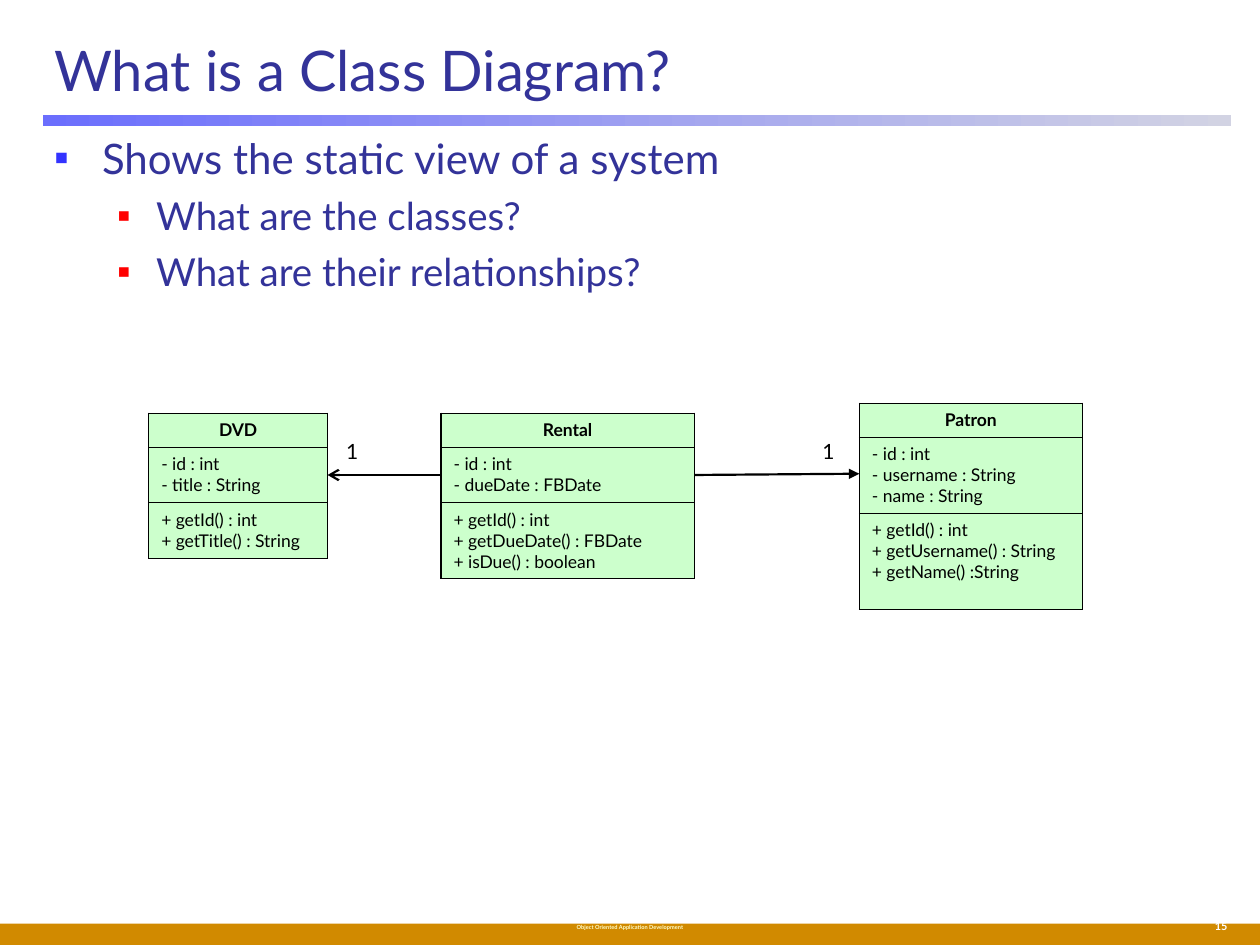
"""Build a slide that introduces the class diagram with a DVD rental example."""
from lxml.etree import SubElement
from pptx import Presentation
from pptx.dml.color import RGBColor
from pptx.enum.shapes import MSO_CONNECTOR, MSO_SHAPE
from pptx.enum.text import MSO_ANCHOR, MSO_AUTO_SIZE, PP_ALIGN
from pptx.oxml import parse_xml
from pptx.oxml.ns import nsdecls, qn
from pptx.util import Inches, Pt

COLORS = {
    "heading": "333399",
    "bullet": "3333FF",
    "sub_bullet": "FF0000",
    "class_fill": "CCFFCC",
    "ink": "000000",
    "band": "D18A00",
    "rule_start": "6B6EFD",
    "rule_end": "D2D3E3",
    "footer": "FFFFCC",
    "number": "FFFFFF",
}


class SlideBuilder:
    def __init__(self, slide, font_name):
        self.slide = slide
        self.font_name = font_name

    def color(self, name):
        return RGBColor.from_string(COLORS[name])

    def add_text(self, paragraph, text, size, color, bold=False, **layout):
        run = paragraph.add_run()
        run.text = text
        run.font.color.rgb = self.color(color)
        font_format = {"name": self.font_name, "size": Pt(size), "bold": bold}
        for target, values in ((run.font, font_format), (paragraph, layout)):
            for attribute, value in values.items():
                setattr(target, attribute, value)

    def place(self, shape, box):
        for side, length in zip(("left", "top", "width", "height"), box):
            setattr(shape, side, Inches(length))

    def title(self, text, box):
        heading = self.slide.shapes.title
        self.place(heading, box)
        frame_format = {"auto_size": MSO_AUTO_SIZE.NONE, "vertical_anchor": MSO_ANCHOR.MIDDLE}
        for attribute, value in frame_format.items():
            setattr(heading.text_frame, attribute, value)
        self.add_text(heading.text_frame.paragraphs[0], text, 32, "heading",
                      alignment=PP_ALIGN.LEFT)

    def bullets(self, items, box):
        body = self.slide.placeholders[1]
        self.place(body, box)
        frame = body.text_frame
        frame.auto_size = MSO_AUTO_SIZE.NONE
        levels = (
            {"size": 24, "margin": 0.38, "hang": 0.38, "bullet": "bullet"},
            {"size": 22, "margin": 0.81, "hang": 0.31, "bullet": "sub_bullet"},
        )
        for index, (level, text) in enumerate(items):
            style = levels[level]
            paragraph = frame.add_paragraph() if index else frame.paragraphs[0]
            properties = paragraph._p.get_or_add_pPr()
            properties.set("marL", str(Inches(style["margin"])))
            properties.set("indent", str(-Inches(style["hang"])))
            bullet_color = SubElement(properties, qn("a:buClr"))
            SubElement(bullet_color, qn("a:srgbClr"), val=COLORS[style["bullet"]])
            SubElement(properties, qn("a:buChar"), char="▪")
            self.add_text(paragraph, text, style["size"], "heading",
                          level=level, space_before=Pt(5.5 if index else 0))

    def bar(self, box, *colors):
        bar = self.slide.shapes.add_shape(MSO_SHAPE.RECTANGLE, *map(Inches, box))
        bar.shadow.inherit = False
        bar.line.fill.background()
        if len(colors) == 1:
            bar.fill.solid()
            bar.fill.fore_color.rgb = self.color(colors[0])
            return
        bar.fill.gradient()
        bar.fill.gradient_angle = 0
        for stop, name in zip(bar.fill.gradient_stops, colors):
            stop.color.rgb = self.color(name)

    def label(self, text, box, size, color, bold=False, alignment=PP_ALIGN.CENTER):
        frame = self.slide.shapes.add_textbox(*map(Inches, box)).text_frame
        frame.word_wrap = True
        self.add_text(frame.paragraphs[0], text, size, color, bold, alignment=alignment)

    def class_box(self, sections, box, row_heights):
        table = self.slide.shapes.add_table(
            len(sections), 1, *map(Inches, (*box, sum(row_heights)))).table
        table.first_row = table.horz_banding = False
        last = len(sections) - 1
        for row, (lines, height) in enumerate(zip(sections, row_heights)):
            table.rows[row].height = Inches(height)
            cell = table.cell(row, 0)
            edges = {"L": 0.75, "R": 0.75, "T": 0.45 if row else 0.75,
                     "B": 0.45 if row < last else 0.75}
            for edge, width in edges.items():
                cell._tc.get_or_add_tcPr().append(parse_xml(
                    f'<a:ln{edge} {nsdecls("a")} w="{Pt(width)}"><a:solidFill>'
                    f'<a:srgbClr val="{COLORS["ink"]}"/></a:solidFill></a:ln{edge}>'))
            cell.fill.solid()
            cell.fill.fore_color.rgb = self.color("class_fill")
            frame = cell.text_frame
            for index, line in enumerate(lines):
                paragraph = frame.add_paragraph() if index else frame.paragraphs[0]
                self.add_text(paragraph, line, 10, "ink", bold=row == 0,
                              alignment=PP_ALIGN.LEFT if row else PP_ALIGN.CENTER)

    def association(self, start, end, head):
        arrow = self.slide.shapes.add_connector(
            MSO_CONNECTOR.STRAIGHT, *map(Inches, (*start, *end)))
        arrow.line.width = Pt(1.25)
        arrow.line.color.rgb = self.color("ink")
        SubElement(arrow.line._get_or_add_ln(), qn("a:tailEnd"), type=head)
        SubElement(arrow._element.spPr, qn("a:effectLst"))


def main():
    presentation = Presentation()
    presentation.slide_width, presentation.slide_height = Inches(10), Inches(7.5)
    slide = presentation.slides.add_slide(presentation.slide_layouts[1])
    builder = SlideBuilder(slide, "Lato")

    builder.bar((0, 7.33, 10, 0.17), "band")
    builder.bar((0.34, 0.91, 9.43, 0.09), "rule_start", "rule_end")
    builder.label("15", (8.42, 7.25, 1.42, 0.23), 6.2, "number", True, PP_ALIGN.RIGHT)
    builder.label("Object Oriented Application Development", (3, 7.28, 4, 0.17),
                  3.2, "footer", True)

    builder.title("What is a Class Diagram?", (0.33, 0.17, 9.42, 0.75))
    builder.bullets((
        (0, "Shows the static view of a system"),
        (1, "What are the classes?"),
        (1, "What are their relationships?"),
    ), (0.33, 1, 9.43, 6.08))

    builder.class_box((
        ["Rental"],
        ["- id : int", "- dueDate : FBDate"],
        ["+ getId() : int", "+ getDueDate() : FBDate", "+ isDue() : boolean"],
    ), (3.5, 3.28, 2.01), (0.27, 0.44, 0.6))
    builder.class_box((
        ["Patron"],
        ["- id : int", "- username : String", "- name : String"],
        ["+ getId() : int", "+ getUsername() : String", "+ getName() :String"],
    ), (6.82, 3.2, 1.77), (0.27, 0.6, 0.77))
    builder.class_box((
        ["DVD"],
        ["- id : int", "- title : String"],
        ["+ getId() : int", "+ getTitle() : String"],
    ), (1.18, 3.28, 1.42), (0.27, 0.44, 0.44))

    builder.association((3.5, 3.77), (2.6, 3.77), "arrow")
    builder.association((5.51, 3.77), (6.82, 3.76), "triangle")
    for multiplicity_left in (2.64, 6.42):
        builder.label("1", (multiplicity_left, 3.43, 0.31, 0.3), 12, "ink")

    presentation.save("out.pptx")


if __name__ == "__main__":
    main()
